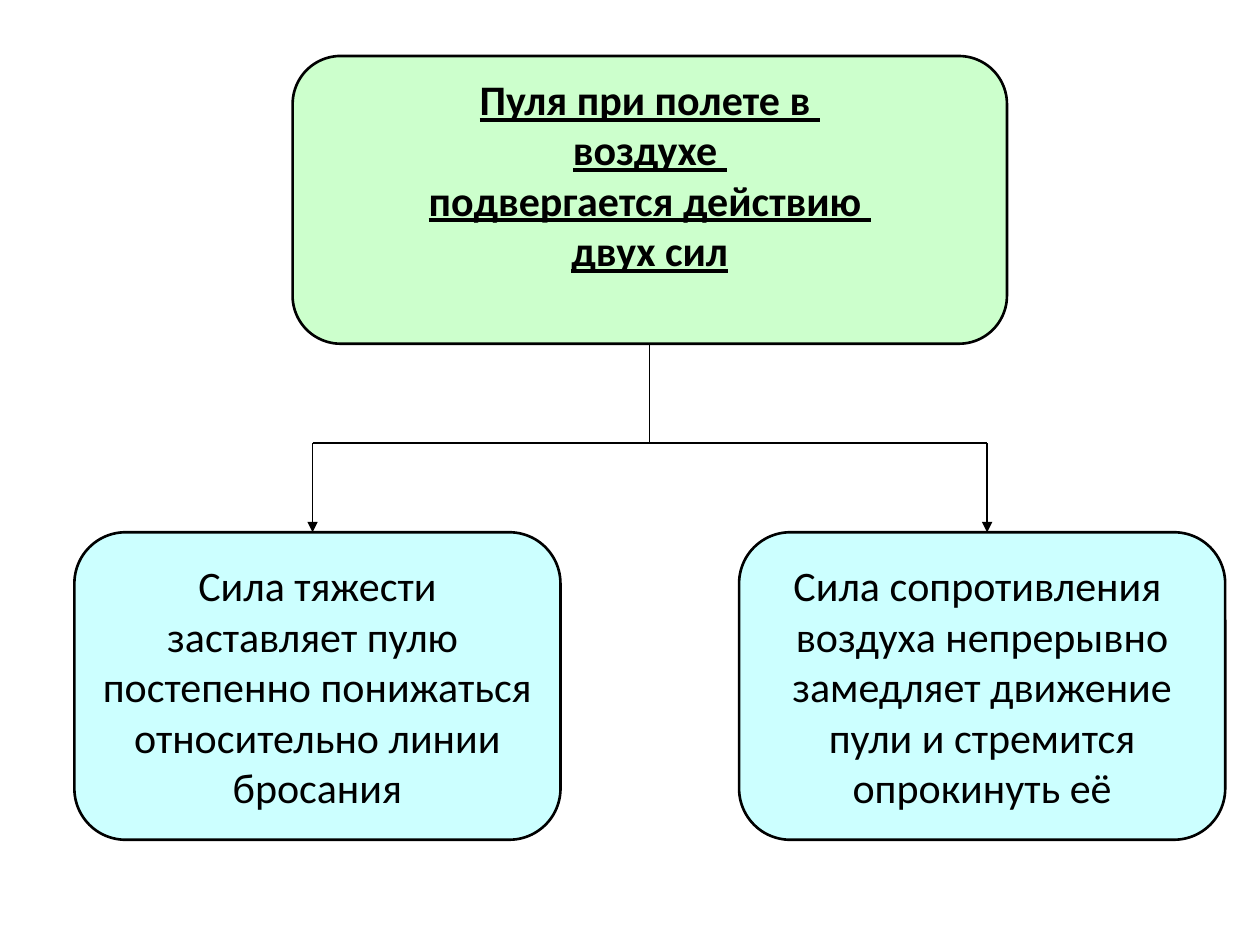
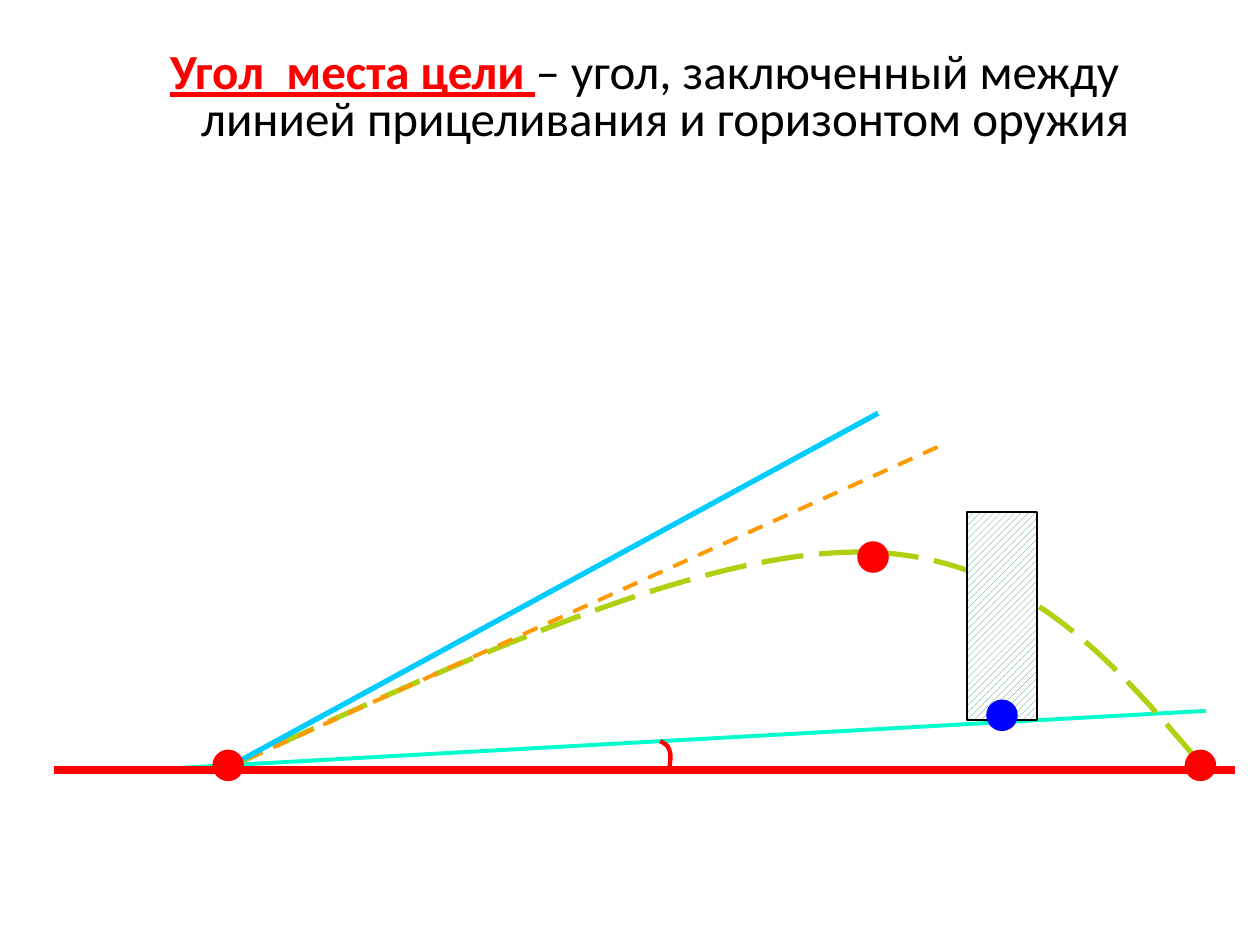
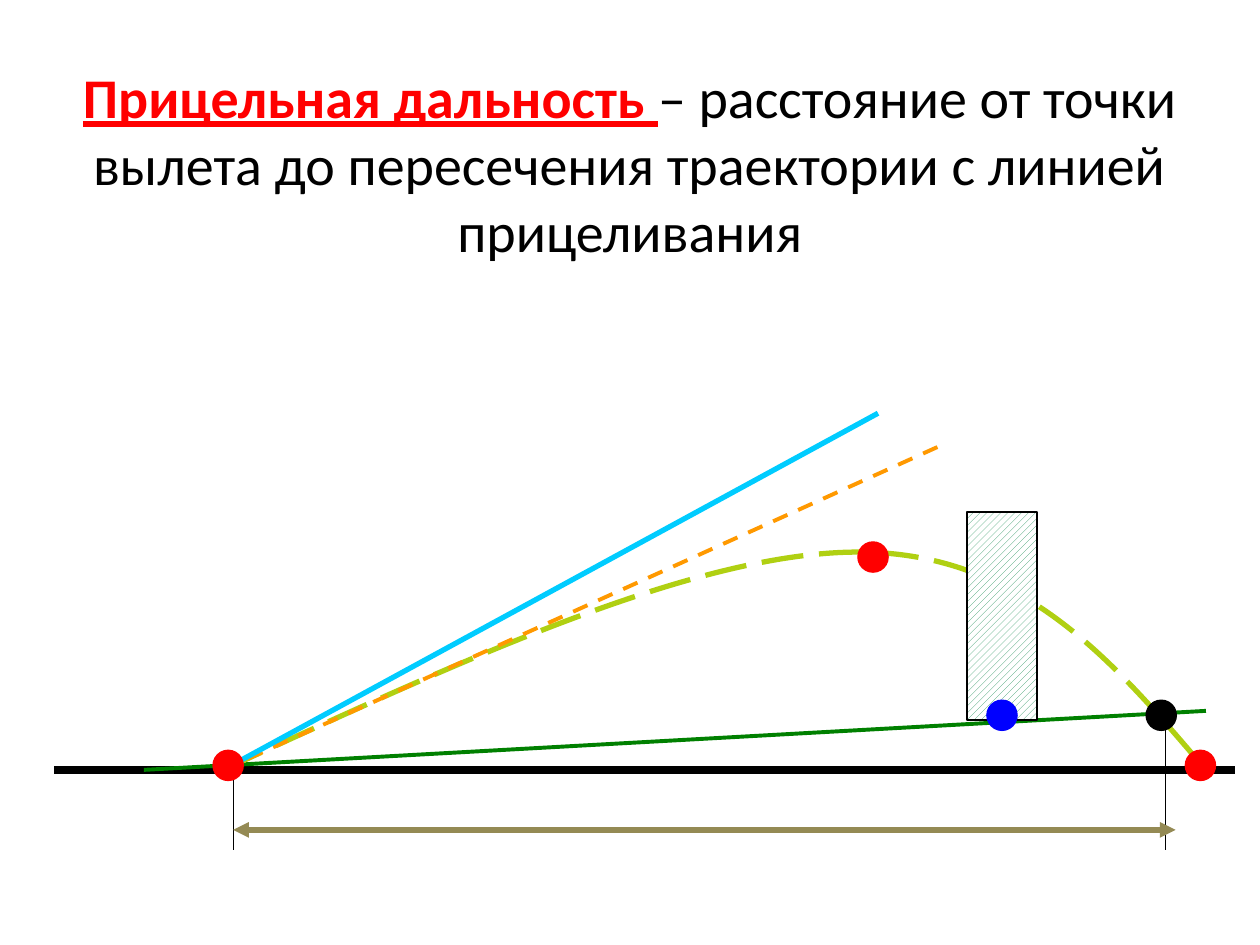
from dataclasses import dataclass

from pptx import Presentation
from pptx.dml.color import RGBColor
from pptx.enum.dml import MSO_LINE, MSO_PATTERN
from pptx.enum.shapes import MSO_CONNECTOR, MSO_SHAPE
from pptx.enum.text import MSO_ANCHOR, PP_ALIGN
from pptx.oxml.ns import qn
from pptx.util import Cm, Pt
from lxml.etree import SubElement


@dataclass(frozen=True)
class Theme:
    font: str = "Calibri"
    black: str = "000000"
    white: str = "FFFFFF"
    red: str = "FF0000"
    blue: str = "0000FF"
    root_fill: str = "CCFFCC"
    force_fill: str = "CCFFFF"
    flight: str = "B0D012"
    throw: str = "FF9900"
    bore: str = "00CCFF"
    sight_light: str = "00FFCC"
    sight_dark: str = "008000"
    hatch: str = "339966"
    distance: str = "948A54"
    box_size: int = 24
    angle_title_size: int = 28
    range_title_size: int = 32


@dataclass(frozen=True)
class Box:
    left: float
    top: float
    width: float
    height: float

    def place(self):
        return Cm(self.left), Cm(self.top), Cm(self.width), Cm(self.height)

    def point(self, x, y):
        return Cm(self.left + x), Cm(self.top + y)


THEME = Theme()
DIAGRAM = Box(1.09, 8.33, 23.8, 7.19)
MUZZLE = (3.41, DIAGRAM.height)
FLIGHT_CURVE = [MUZZLE, (8.16, 5.01), (12.91, 2.8), (16.21, 2.8),
                (19.51, 2.8), (21.36, 5.01), (23.22, 7.19)]
ANGLE_CURVE = [(12.22, 6.61), (12.3, 6.66), (12.37, 6.68), (12.4, 6.78),
               (12.45, 6.88), (12.42, 7.04), (12.4, 7.19)]


def rgb(color):
    return RGBColor.from_string(color)


def style_line(line, color, width, dash=None):
    line.color.rgb = rgb(color)
    line.width = Pt(width)
    if dash:
        line.dash_style = dash


def add_line(slide, box, start, end, color, width, dash=None, arrows=()):
    connector = slide.shapes.add_connector(
        MSO_CONNECTOR.STRAIGHT, *box.point(*start), *box.point(*end))
    style_line(connector.line, color, width, dash)
    properties = connector.element.spPr
    for arrow in arrows:
        SubElement(properties.find(qn("a:ln")), qn(f"a:{arrow}"), type="triangle")
    SubElement(properties, qn("a:effectLst"))
    return connector


def add_preset(slide, kind, box, fill, line_color, line_width):
    shape = slide.shapes.add_shape(kind, *box.place())
    shape.shadow.inherit = False
    shape.fill.solid()
    shape.fill.fore_color.rgb = rgb(fill)
    style_line(shape.line, line_color, line_width)
    return shape


def add_curve(slide, box, controls, color, width, dash=None):
    builder = slide.shapes.build_freeform(*box.point(*controls[0]))
    builder.add_line_segments([box.point(*point) for point in controls[1:]], close=False)
    shape = builder.convert_to_shape()
    segments = list(shape.element.iter(qn("a:lnTo")))
    outline = segments[0].getparent()
    for first in range(0, len(segments), 3):
        bezier = SubElement(outline, qn("a:cubicBezTo"))
        for segment in segments[first:first + 3]:
            bezier.append(segment[0])
            outline.remove(segment)
    shape.shadow.inherit = False
    shape.fill.background()
    style_line(shape.line, color, width, dash)


def add_dot(slide, box, x, y, color, size=0.61):
    dot = Box(box.left + x - size / 2, box.top + y - size / 2, size, size)
    add_preset(slide, MSO_SHAPE.OVAL, dot, color, color, 0.75)


def add_process(slide, box, lines, fill, emphasis=False, bottom_inset=0.13):
    shape = add_preset(slide, MSO_SHAPE.FLOWCHART_ALTERNATE_PROCESS, box, fill,
                       THEME.black, 1.5)
    frame = shape.text_frame
    frame.word_wrap = False
    frame.vertical_anchor = MSO_ANCHOR.MIDDLE
    frame.margin_bottom = Cm(bottom_inset)
    frame.text = "\n".join(lines)
    for paragraph in frame.paragraphs:
        paragraph.alignment = PP_ALIGN.CENTER
        font = paragraph.font
        font.name, font.size = THEME.font, Pt(THEME.box_size)
        font.bold = font.underline = emphasis
        font.color.rgb = rgb(THEME.black)
    return shape


def add_definition(slide, box, term, meaning, size):
    frame = slide.shapes.add_textbox(*box.place()).text_frame
    frame.word_wrap = True
    paragraph = frame.paragraphs[0]
    paragraph.alignment = PP_ALIGN.CENTER
    paragraph.font.name, paragraph.font.size = THEME.font, Pt(size)
    for text, color, emphasis in ((term, THEME.red, True), (meaning, THEME.black, False)):
        run = paragraph.add_run()
        run.text = text
        run.font.color.rgb = rgb(color)
        run.font.bold = run.font.underline = emphasis
    return paragraph


def draw_horizon(slide, box, color):
    add_line(slide, box, (0, box.height), (box.width, box.height), color, 4.5)


def draw_sight_line(slide, box, color):
    add_line(slide, box, (1.81, box.height), (23.22, 6), color, 2.25)


def draw_flight(slide, box):
    add_curve(slide, box, FLIGHT_CURVE, THEME.flight, 3, MSO_LINE.LONG_DASH)
    add_line(slide, box, MUZZLE, (18.01, 0.59), THEME.throw, 2.25, MSO_LINE.DASH)
    add_line(slide, box, MUZZLE, (16.61, 0), THEME.bore, 3)


def draw_marks(slide, box):
    for x, y in ((3.51, 7.1), (23.11, 7.1), (16.51, 2.9)):
        add_dot(slide, box, x, y, THEME.red)
    target_box = Box(box.left + 18.41, box.top + 1.99, 1.4, 4.2)
    target = add_preset(slide, MSO_SHAPE.RECTANGLE, target_box, THEME.white, THEME.black, 1)
    target.fill.patterned()
    target.fill.pattern = MSO_PATTERN.WIDE_UPWARD_DIAGONAL
    target.fill.fore_color.rgb = rgb(THEME.hatch)
    target.fill.back_color.rgb = rgb(THEME.white)
    add_dot(slide, box, 19.11, 6.09, THEME.blue)


def draw_range(slide, box):
    left, right, bottom = 3.61, 22.41, 8.8
    for x, top in ((left, 7.39), (right, 6)):
        add_line(slide, box, (x, top), (x, bottom), THEME.black, 0.75)
    add_line(slide, box, (left, 8.4), (22.61, 8.4), THEME.distance, 3,
             arrows=("headEnd", "tailEnd"))


def build_forces(slide, box):
    root_box = Box(box.left + 4.4, box.top, 14.4, 5.8)
    root = add_process(slide, root_box,
                       ["Пуля при полете в ", "воздухе ", "подвергается действию ", "двух сил"],
                       THEME.root_fill, emphasis=True, bottom_inset=1.16)
    width, height, bar, arrow_inset = 9.8, 6.2, 7.8, 4.8
    top = box.height - height
    forces = (
        ["Сила тяжести", "заставляет пулю ", "постепенно понижаться",
         "относительно линии", "бросания"],
        ["Сила сопротивления ", "воздуха непрерывно", "замедляет движение",
         "пули и стремится", "опрокинуть её"],
    )
    for left, lines in zip((0, box.width - width), forces):
        add_process(slide, Box(box.left + left, box.top + top, width, height),
                    lines, THEME.force_fill)
    middle = box.width / 2
    stem = add_line(slide, box, (middle, root_box.height), (middle, bar), THEME.black, 0.75)
    stem.begin_connect(root, 2)
    branches = (arrow_inset, box.width - arrow_inset)
    add_line(slide, box, (branches[0], bar), (branches[1], bar), THEME.black, 0.75)
    for x in branches:
        add_line(slide, box, (x, bar), (x, top), THEME.black, 0.75, arrows=("tailEnd",))


def build_target_angle(slide, box):
    paragraph = add_definition(
        slide, Box(1.5, 0.92, 22.86, 3.78), "Угол  места цели ",
        "– угол, заключенный между линией прицеливания и горизонтом оружия",
        THEME.angle_title_size)
    paragraph.line_spacing = 0.8
    properties = paragraph._p.get_or_add_pPr()
    properties.set("marL", str(Cm(0.95)))
    properties.set("indent", str(Cm(-0.82)))
    draw_sight_line(slide, box, THEME.sight_light)
    draw_horizon(slide, box, THEME.red)
    draw_flight(slide, box)
    add_curve(slide, box, ANGLE_CURVE, THEME.red, 2.5)
    draw_marks(slide, box)


def build_sighting_range(slide, box):
    add_definition(
        slide, Box(0.9, 1.13, 23.6, 4.37), "Прицельная дальность ",
        "– расстояние от точки вылета до пересечения траектории с линией прицеливания",
        THEME.range_title_size)
    draw_horizon(slide, box, THEME.black)
    draw_sight_line(slide, box, THEME.sight_dark)
    draw_flight(slide, box)
    draw_range(slide, box)
    draw_marks(slide, box)
    add_dot(slide, box, 22.32, 6.09, THEME.black)


def main():
    presentation = Presentation()
    presentation.slide_width, presentation.slide_height = Cm(25.4), Cm(19.05)
    blank = presentation.slide_layouts[6]
    for build, box in ((build_forces, Box(1.5, 1.13, 23.2, 15.8)),
                       (build_target_angle, DIAGRAM),
                       (build_sighting_range, DIAGRAM)):
        build(presentation.slides.add_slide(blank), box)
    presentation.save("out.pptx")


if __name__ == "__main__":
    main()
